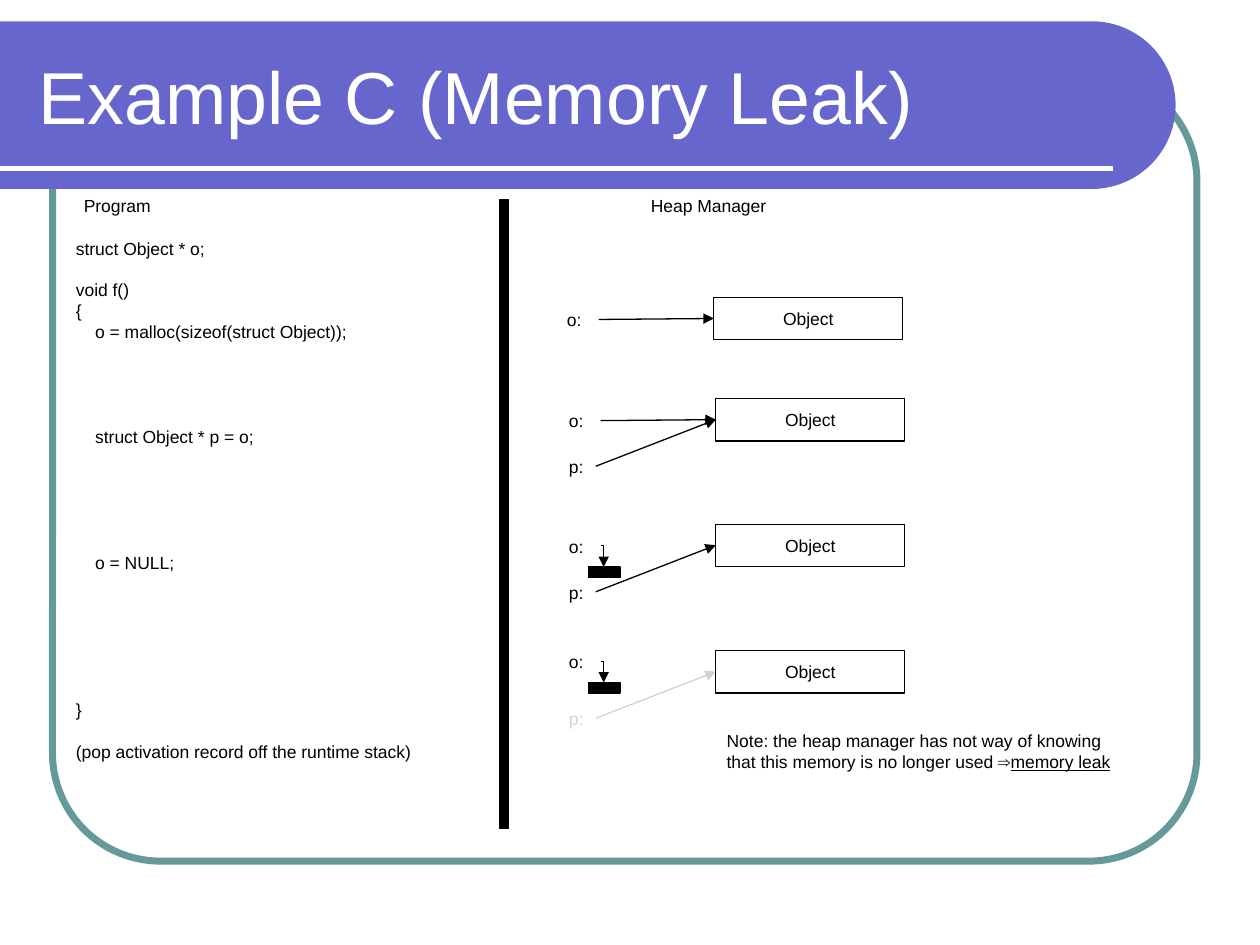
from math import cos, pi, sin

from lxml.etree import SubElement
from pptx import Presentation
from pptx.dml.color import RGBColor
from pptx.enum.shapes import MSO_CONNECTOR, MSO_SHAPE
from pptx.enum.text import MSO_ANCHOR, MSO_AUTO_SIZE, PP_ALIGN
from pptx.oxml.ns import qn
from pptx.util import Cm, Pt

BLACK, WHITE, GREY = "000000", "FFFFFF", "D2D2D2"
BODY = {"name": "Arial", "size": Pt(10)}
HEAD = {"name": "Arial", "size": Pt(42)}
FRAME = {
    "margin_left": Cm(0.25), "margin_right": Cm(0.25),
    "margin_top": Cm(0.13), "margin_bottom": Cm(0.13),
    "auto_size": MSO_AUTO_SIZE.NONE, "word_wrap": False,
}
# Each code line holds its text, the blank lines above it and its indent.
CODE = [
    ("struct Object * o;", 0, 0),
    ("void f()", 1, 0),
    ("{", 0, 0),
    ("o = malloc(sizeof(struct Object));", 0, 0.39),
    ("struct Object * p = o;", 4, 0.39),
    ("o = NULL;", 5, 0.39),
    ("}", 6, 0),
    ("(pop activation record off the runtime stack)", 1, 0),
]


def tint(code):
    """Return the colour for a hex string."""
    return RGBColor.from_string(code)


def apply(item, form):
    """Set each attribute of a format dict on an item."""
    for name, value in form.items():
        setattr(item, name, value)


def write(para, text, hue=BLACK, form=BODY):
    """Add a formatted run to a paragraph."""
    run = para.add_run()
    run.text = text
    apply(run.font, form)
    run.font.color.rgb = tint(hue)


def label(slide, at, lines, hue=BLACK):
    """Add a text box of (text, gap, indent) lines and return its frame."""
    frame = slide.shapes.add_textbox(*map(Cm, at)).text_frame
    apply(frame, FRAME)
    for i, (text, gap, dent) in enumerate(lines):
        para = frame.add_paragraph() if i else frame.paragraphs[0]
        apply(para, {"line_spacing": Pt(12), "space_before": Pt(12 * gap)})
        if dent:
            para._p.get_or_add_pPr().set("marL", str(Cm(dent)))
        write(para, text, hue)
    return frame


def paint(shape, fill, edge, width):
    """Give a shape its fill and outline, with no shadow."""
    shape.shadow.inherit = False
    if fill:
        shape.fill.solid()
        shape.fill.fore_color.rgb = tint(fill)
    else:
        shape.fill.background()
    if edge:
        shape.line.color.rgb = tint(edge)
        shape.line.width = Pt(width)
    else:
        shape.line.fill.background()


def block(slide, at, fill=None, edge=BLACK, width=0.75, kind=MSO_SHAPE.RECTANGLE):
    """Add a preset shape."""
    shape = slide.shapes.add_shape(kind, *map(Cm, at))
    paint(shape, fill, edge, width)
    return shape


def link(slide, ends, hue=BLACK, width=0.75, head=True, bent=False):
    """Add a straight or bent line, with an arrowhead if wanted."""
    kind = MSO_CONNECTOR.ELBOW if bent else MSO_CONNECTOR.STRAIGHT
    line = slide.shapes.add_connector(kind, *map(Cm, ends))
    line.line.color.rgb = tint(hue)
    line.line.width = Pt(width)
    props = line._element.spPr
    if bent:
        props.find(qn("a:prstGeom")).set("prst", "bentConnector2")
    if head:
        SubElement(props.find(qn("a:ln")), qn("a:tailEnd"), type="triangle")
    SubElement(props, qn("a:effectLst"))


def banner(slide):
    """Draw the title band with its round right end."""
    left, mid, rad, steps = 22.01, 2.12, 1.69, 48
    turns = [pi * i / steps - pi / 2 for i in range(steps + 1)]
    arc = [(Cm(left + rad * cos(t)), Cm(mid + rad * sin(t))) for t in turns]
    form = slide.shapes.build_freeform(0, Cm(mid - rad))
    form.add_line_segments(arc + [(0, Cm(mid + rad))], close=True)
    paint(form.convert_to_shape(), "6666CC", None, 0)


def title(slide, text):
    """Place the title above the band."""
    shape = slide.shapes.title
    shape.element.getparent().append(shape.element)
    place = dict(zip(("left", "top", "width", "height"), map(Cm, (0.53, 0.64, 22.28, 2.54))))
    apply(shape, place)
    apply(shape.text_frame, FRAME | {"word_wrap": True, "vertical_anchor": MSO_ANCHOR.MIDDLE})
    para = shape.text_frame.paragraphs[0]
    para.alignment = PP_ALIGN.LEFT
    write(para, text, WHITE, HEAD)


def target(slide, left, top):
    """Add an Object box."""
    frame = block(slide, (left, top, 3.81, 0.85)).text_frame
    apply(frame, FRAME | {"vertical_anchor": MSO_ANCHOR.MIDDLE})
    para = frame.paragraphs[0]
    para.alignment = PP_ALIGN.CENTER
    write(para, "Object")


def state(slide, top, left=14.43, drop=0.1, null=False, hue=None):
    """Draw one heap state: o, its box and, with a hue, p."""
    target(slide, left, top)
    mid, row, tail = top + 0.42, top + drop, left - 2.32
    label(slide, (left - 3.21, row, 0.89, 0.68), [("o:", 0, 0)])
    if null:
        block(slide, (left - 2.57, row + 0.76, 0.64, 0.21), BLACK)
        link(slide, (tail, row + 0.33, tail + 0.06, row + 0.76), bent=True)
    else:
        link(slide, (tail, mid + 0.02, left, mid))
    if hue:
        label(slide, (left - 3.21, top + 1.03, 0.79, 0.68), [("p:", 0, 0)], hue)
        link(slide, (left - 2.42, top + 1.36, left, mid), hue)


def main():
    """Build the slide and save it."""
    deck = Presentation()
    deck.slide_width, deck.slide_height = Cm(25.4), Cm(19.05)
    slide = deck.slides.add_slide(deck.slide_layouts[5])
    border = block(slide, (1.06, 1.48, 23.07, 15.88), None, "669999", 4,
                   MSO_SHAPE.ROUNDED_RECTANGLE)
    border.adjustments[0] = 0.137
    banner(slide)
    link(slide, (0, 3.39, 22.44, 3.39), WHITE, 3, head=False)
    title(slide, "Example C (Memory Leak)")
    label(slide, (1.44, 3.81, 1.85, 0.68), [("Program", 0, 0)])
    label(slide, (12.87, 3.81, 2.82, 0.68), [("Heap Manager", 0, 0)])
    link(slide, (10.16, 4.02, 10.16, 16.72), width=6, head=False)
    label(slide, (1.28, 4.66, 7.26, 11.28), CODE)
    state(slide, 6, left=14.39)
    state(slide, 8.04, hue=BLACK)
    state(slide, 10.57, null=True, hue=BLACK)
    state(slide, 13.12, drop=-0.12, null=True, hue=GREY)
    note = label(slide, (14.4, 14.58, 8.26, 1.12), [
        ("Note: the heap manager has not way of knowing", 0, 0),
        ("that this memory is no longer used ⇒", 0, 0),
    ])
    write(note.paragraphs[1], "memory leak", form=BODY | {"underline": True})
    deck.save("out.pptx")


if __name__ == "__main__":
    main()
